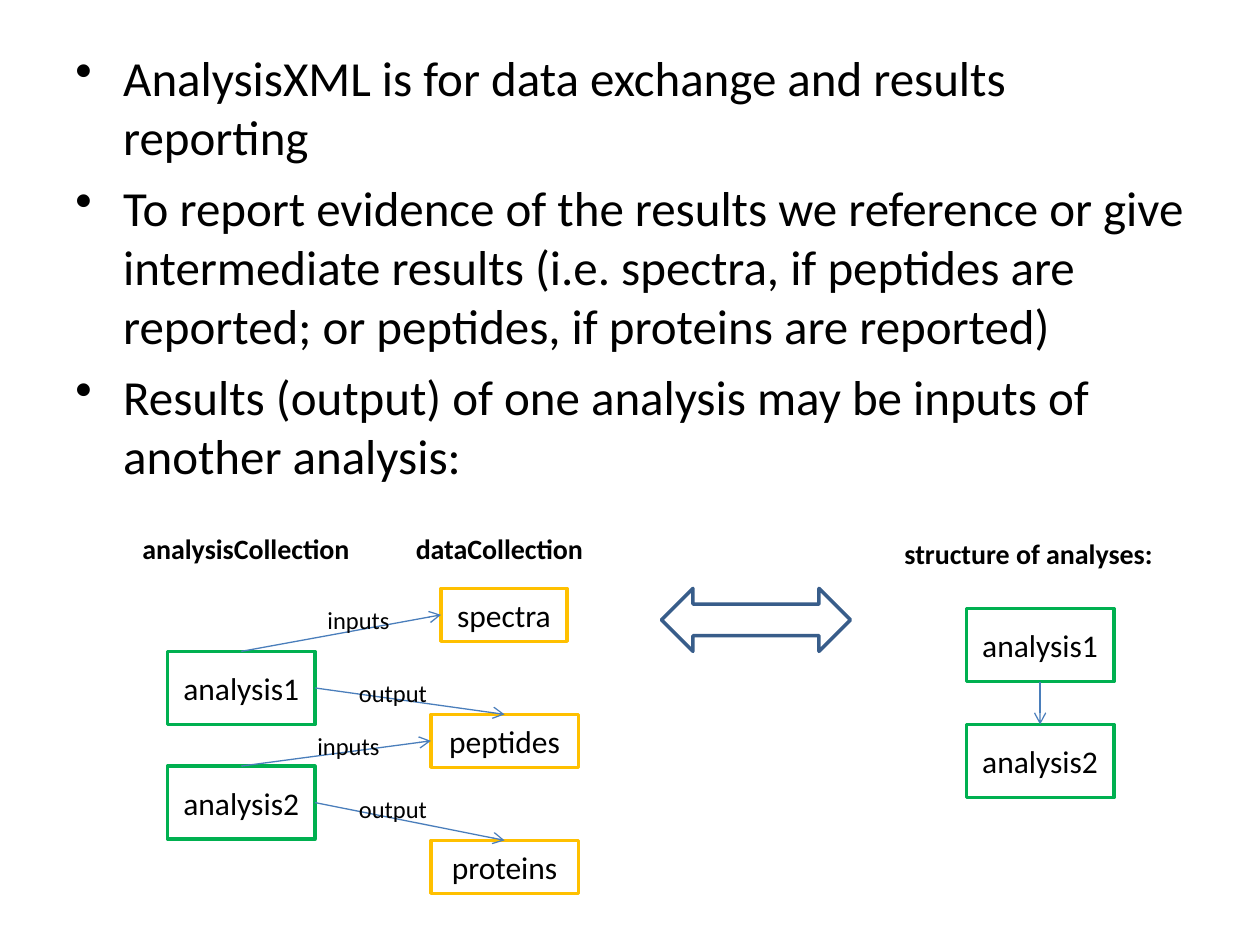
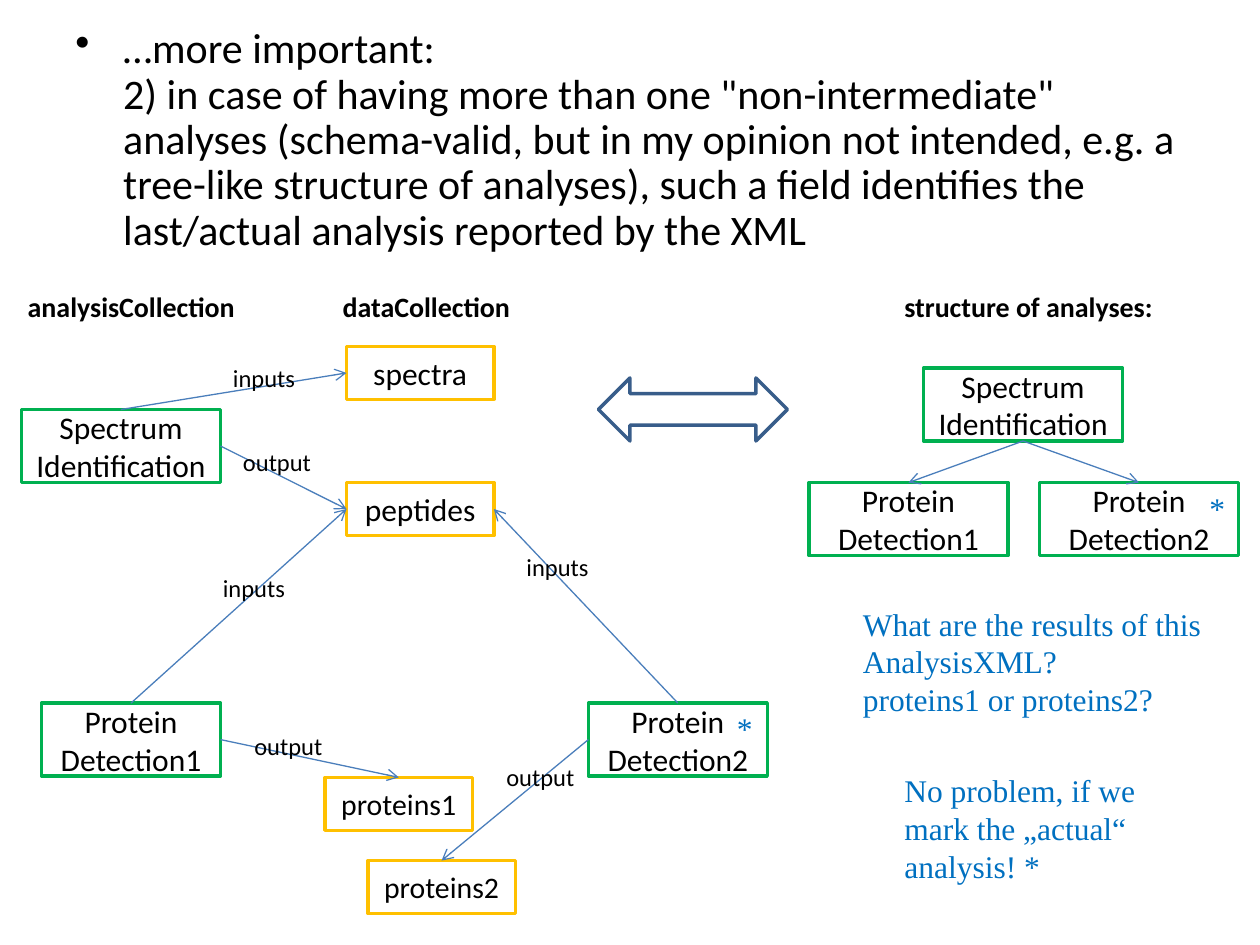
from lxml import etree
from pptx import Presentation
from pptx.dml.color import RGBColor
from pptx.enum import shapes, text
from pptx.oxml import ns
from pptx.util import Inches, Pt

TOP, LEFT, BOTTOM, RIGHT = range(4)


def colour(value):
    """Turn a hex string into a colour."""
    return RGBColor.from_string(value)


def place(*lengths):
    """Turn numbers into lengths in inches."""
    return [Inches(length) for length in lengths]


class Diagram:
    """Holds the shared style and the slide being drawn."""

    FONT, NOTE_FONT = "Calibri", "Times New Roman"
    INK, NOTE = "000000", "0070C0"
    ANALYSIS, DATA = "00B050", "FFC000"
    LINK, ARROW = "4A7EBB", "385D8A"

    def __init__(self, deck):
        """Keep the deck."""
        self.deck = deck
        self.page = None

    def new_page(self):
        """Start a blank slide."""
        self.page = self.deck.slides.add_slide(self.deck.slide_layouts[6])

    def set_words(self, para, words, size, bold=False, font=FONT, ink=INK):
        """Fill a paragraph and format its runs."""
        para.text = words
        for span in para.runs:
            span.font.name = font
            span.font.size = Pt(size)
            span.font.bold = bold
            span.font.color.rgb = colour(ink)

    def bullets(self, top, height, items, size, before, spacing=1.0):
        """Add the bulleted body text."""
        frame = self.page.shapes.add_textbox(*place(0.5, top, 9, height)).text_frame
        frame.word_wrap = True
        for index, words in enumerate(items):
            para = frame.add_paragraph() if index else frame.paragraphs[0]
            self.set_words(para, words, size)
            para.line_spacing = spacing
            para.space_before = Pt(before)
            props = para._p.get_or_add_pPr()
            props.set("marL", str(Inches(0.38)))
            props.set("indent", str(Inches(-0.38)))
            etree.SubElement(props, ns.qn("a:buChar")).set("char", "•")

    def caption(self, left, top, width, words, size=14, height=0.34, inset=0.1, **style):
        """Add a plain piece of text."""
        frame = self.page.shapes.add_textbox(*place(left, top, width, height)).text_frame
        frame.word_wrap = True
        frame.margin_left = frame.margin_right = Inches(inset)
        self.set_words(frame.paragraphs[0], words, size, **style)

    def heading(self, left, top, width, words, inset=0.05):
        """Add a bold column heading."""
        self.caption(left, top, width, words, 16, 0.37, inset, bold=True)

    def note(self, left, top, width, words, height=1.0):
        """Add a blue remark."""
        self.caption(left, top, width, words, 18, height, font=self.NOTE_FONT, ink=self.NOTE)

    def outline(self, kind, left, top, width, height, line):
        """Add an unfilled shape."""
        box = self.page.shapes.add_shape(kind, *place(left, top, width, height))
        box.shadow.inherit = False
        box.fill.background()
        box.line.color.rgb = colour(line)
        box.line.width = Pt(2)
        return box

    def node(self, left, top, width, height, words, line, size):
        """Add a labelled rectangle."""
        box = self.outline(shapes.MSO_SHAPE.RECTANGLE, left, top, width, height, line)
        frame = box.text_frame
        frame.word_wrap = True
        frame.vertical_anchor = text.MSO_ANCHOR.MIDDLE
        para = frame.paragraphs[0]
        self.set_words(para, words, size)
        para.alignment = text.PP_ALIGN.CENTER
        return box

    def analysis(self, left, top, words, width=1.58):
        """Add a green analysis box."""
        return self.node(left, top, width, 0.58, words, self.ANALYSIS, 18)

    def data(self, left, top, words, width=1.17, size=18):
        """Add a yellow data box."""
        return self.node(left, top, width, 0.42, words, self.DATA, size)

    def equivalence(self, left, top):
        """Add the double arrow."""
        self.outline(shapes.MSO_SHAPE.LEFT_RIGHT_ARROW, left, top, 1.5, 0.5, self.ARROW)

    def link(self, source, source_side, target, target_side):
        """Join two boxes with an arrow."""
        line = self.page.shapes.add_connector(shapes.MSO_CONNECTOR.STRAIGHT, 0, 0, 0, 0)
        line.begin_connect(source, source_side)
        line.end_connect(target, target_side)
        line.line.color.rgb = colour(self.LINK)
        line.line.width = Pt(0.75)
        etree.SubElement(line.get_or_add_ln(), ns.qn("a:tailEnd")).set("type", "arrow")
        etree.SubElement(line._element.spPr, ns.qn("a:effectLst"))


def chain_page(diagram):
    """Draw the chain of two analyses."""
    diagram.new_page()
    diagram.bullets(0.33, 3.58, [
        "AnalysisXML is for data exchange and results reporting",
        "To report evidence of the results we reference or give intermediate results "
        "(i.e. spectra, if peptides are reported; or peptides, if proteins are reported)",
        "Results (output) of one analysis may be inputs of another analysis:",
    ], 28, 7)
    diagram.heading(1.08, 4.17, 1.75, "analysisCollection")
    diagram.heading(3.25, 4.17, 1.5, "dataCollection")
    diagram.heading(7.08, 4.21, 2.25, "structure of analyses:", 0.1)
    diagram.equivalence(5.25, 4.67)

    names = ["analysis1", "analysis2"]
    steps = [diagram.analysis(1.33, 5.17 + 0.91 * i, name, 1.17) for i, name in enumerate(names)]
    chain = [diagram.analysis(7.67, 4.83 + 0.92 * i, name, 1.17) for i, name in enumerate(names)]
    stages = [diagram.data(3.5, 4.67, "spectra", 1)]
    stages += [diagram.data(3.42, 5.67 + i, name) for i, name in enumerate(["peptides", "proteins"])]
    for step, before, after in zip(steps, stages, stages[1:]):
        diagram.link(step, TOP, before, LEFT)
        diagram.link(step, RIGHT, after, TOP)
    diagram.link(chain[0], BOTTOM, chain[1], TOP)
    for left, top, words in [(2.5, 4.75, "inputs"), (2.42, 5.75, "inputs"),
                             (2.75, 5.33, "output"), (2.75, 6.25, "output")]:
        diagram.caption(left, top, 0.75, words)


def tree_page(diagram):
    """Draw the tree of analyses."""
    diagram.new_page()
    diagram.bullets(0.17, 2, [
        "…more important:\n2) in case of having more than one \"non-intermediate\" analyses "
        "(schema-valid, but in my opinion not intended, e.g. a tree-like structure of analyses), "
        "such a field identifies the last/actual analysis reported by the XML",
    ], 24, 6, 0.9)
    diagram.heading(0.17, 2.25, 1.75, "analysisCollection")
    diagram.heading(2.67, 2.25, 1.5, "dataCollection")
    diagram.heading(7.08, 2.25, 2.33, "structure of analyses:", 0.1)
    diagram.equivalence(4.75, 3)

    names = ["Spectrum\nIdentification", "Protein\nDetection1", "Protein\nDetection2"]
    search = diagram.analysis(0.17, 3.25, names[0])
    first = diagram.analysis(0.33, 5.58, names[1], 1.42)
    second = diagram.analysis(4.67, 5.58, names[2], 1.42)
    spectra = diagram.data(2.75, 2.75, "spectra")
    peptides = diagram.data(2.75, 3.83, "peptides")
    proteins1 = diagram.data(2.58, 6.17, "proteins1", size=17)
    proteins2 = diagram.data(2.92, 6.83, "proteins2", size=17)
    root = diagram.analysis(7.33, 2.92, names[0])
    leaves = [diagram.analysis(6.42 + 1.83 * i, 3.83, name) for i, name in enumerate(names[1:])]

    for ends in [(search, TOP, spectra, LEFT), (search, RIGHT, peptides, LEFT),
                 (first, TOP, peptides, LEFT), (first, RIGHT, proteins1, TOP),
                 (second, TOP, peptides, RIGHT), (second, LEFT, proteins2, TOP)]:
        diagram.link(*ends)
    for leaf in leaves:
        diagram.link(root, BOTTOM, leaf, TOP)
    for left, top, words in [(1.75, 2.83, "inputs"), (1.67, 4.5, "inputs"), (4.08, 4.33, "inputs"),
                             (1.83, 3.5, "output"), (1.92, 5.75, "output"), (3.92, 6, "output")]:
        diagram.caption(left, top, 0.75, words)

    diagram.note(6.75, 4.75, 3, "What are the results of this AnalysisXML?\nproteins1 or proteins2?")
    diagram.note(7.08, 6.07, 2.33, "No problem, if we mark the „actual“ analysis! *")
    for left, top in [(5.75, 5.58), (9.5, 3.83)]:
        diagram.note(left, top, 0.33, "*", 0.4)


def main():
    """Build and save the deck."""
    deck = Presentation()
    deck.slide_width, deck.slide_height = place(10, 7.5)
    diagram = Diagram(deck)
    chain_page(diagram)
    tree_page(diagram)
    deck.save("out.pptx")


if __name__ == "__main__":
    main()
